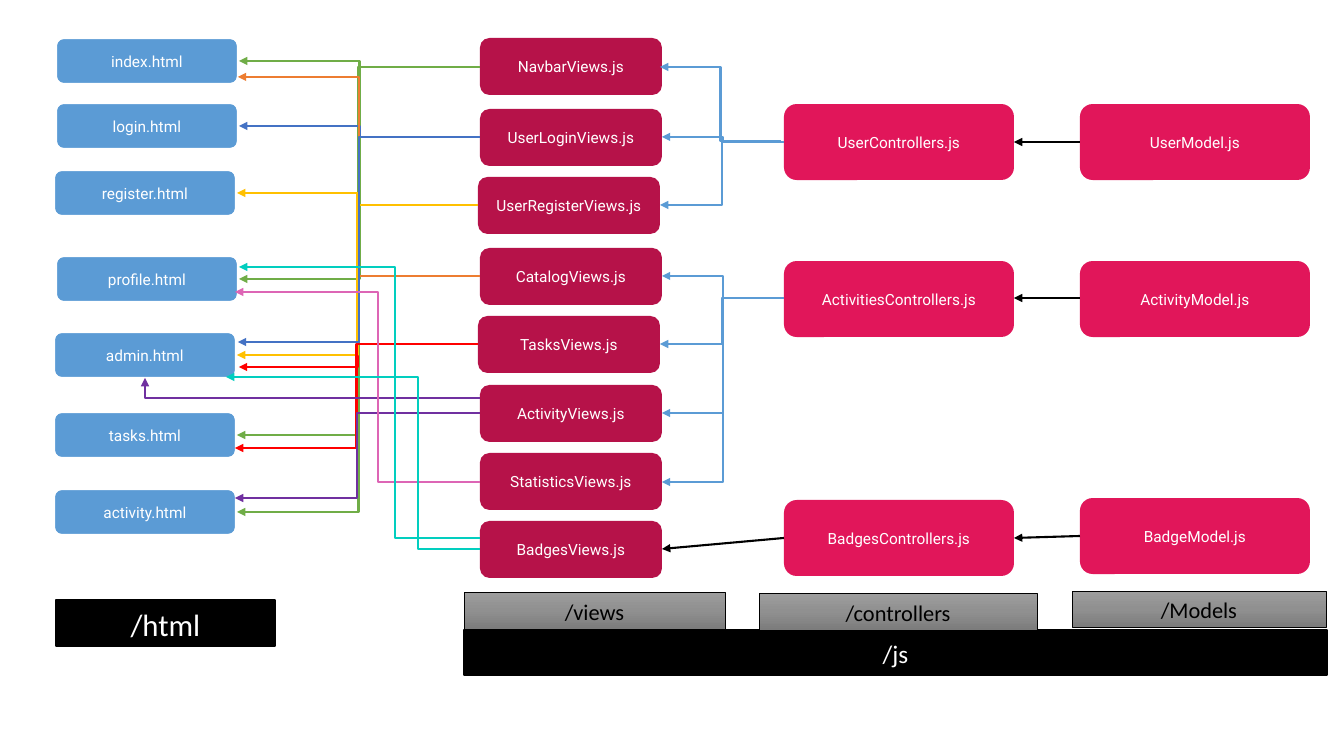
from lxml import etree
from pptx import Presentation
from pptx.dml.color import RGBColor
from pptx.enum.shapes import MSO_CONNECTOR, MSO_SHAPE
from pptx.enum.text import MSO_ANCHOR, PP_ALIGN
from pptx.oxml.ns import qn
from pptx.util import Pt

PX = 914400 / 100.8  # EMU in one pixel
COLORS = {
    "white": "FFFFFF", "black": "000000",
    "page": "5B9BD5", "view": "B61249", "core": "E1165A",
    "gray_top": "9D9D9D", "gray_mid": "909090", "gray_end": "7C7C7C",
    "green": "70AD47", "blue": "4472C4", "yellow": "FFC000",
    "orange": "ED7D31", "red": "FF0000", "purple": "7030A0",
    "pink": "DD65B5", "teal": "02CEBF",
}

prs = Presentation()
prs.slide_width, prs.slide_height = round(1344 * PX), round(756 * PX)
s = prs.slides.add_slide(prs.slide_layouts[6])


def add_box(kind, box, text, size, font, color, fill=None, line=None, width=1):
    sp = s.shapes.add_shape(kind, *(round(v * PX) for v in box))
    sp.shadow.inherit = False
    if fill:
        sp.fill.solid()
        sp.fill.fore_color.rgb = RGBColor.from_string(COLORS[fill])
    if line:
        sp.line.color.rgb = RGBColor.from_string(COLORS[line])
        sp.line.width = Pt(width)
    else:
        sp.line.fill.background()
    tf = sp.text_frame
    tf.word_wrap = True
    tf.vertical_anchor = MSO_ANCHOR.MIDDLE
    p = tf.paragraphs[0]
    p.text = text
    p.alignment = PP_ALIGN.CENTER
    p.font.size, p.font.name = Pt(size), font
    p.font.color.rgb = RGBColor.from_string(COLORS[color])
    return sp


def add_arrow(kind, color, ends):
    cn = s.shapes.add_connector(kind, *(round(v * PX) for v in ends))
    cn.line.color.rgb = RGBColor.from_string(COLORS[color])
    cn.line.width = Pt(1.5)
    etree.SubElement(cn.line._get_or_add_ln(), qn("a:tailEnd"), type="triangle")
    etree.SubElement(cn._element.spPr, qn("a:effectLst"))
    return cn


# Folder labels
labels = [
    ("/js", (464, 630, 863, 45), 18),
    ("/html", (56, 600, 219, 46), 22),
    ("/views", (464, 592, 261, 37), 16),
    ("/controllers", (759, 593, 278, 37), 16),
    ("/Models", (1072, 591, 254, 36), 16),
]
for text, box, size in labels:
    if size > 16:
        sp = add_box(MSO_SHAPE.RECTANGLE, box, text, size, "Calibri", "white", "black", "black")
    else:
        sp = add_box(MSO_SHAPE.RECTANGLE, box, text, size, "Calibri", "black", None, "black", 0.5)
        sp.fill.gradient()
        sp.fill.gradient_angle = 270
        gs_lst = sp._element.spPr.find(qn("a:gradFill")).find(qn("a:gsLst"))
        for stop in list(gs_lst):
            gs_lst.remove(stop)
        for pos, name in ((0, "gray_top"), (50000, "gray_mid"), (100000, "gray_end")):
            stop = etree.SubElement(gs_lst, qn("a:gs"), pos=str(pos))
            etree.SubElement(stop, qn("a:srgbClr"), val=COLORS[name])
    p = sp.text_frame.paragraphs[0]
    p.line_spacing, p.space_after = 1.07, Pt(8)

# File boxes: fill, line, width, height, then (text, left, top)
columns = [
    ("page", "white", 182, 46, [
        ("index.html", 56, 38), ("login.html", 56, 103), ("register.html", 54, 170),
        ("profile.html", 56, 256), ("admin.html", 54, 332), ("tasks.html", 54, 412),
        ("activity.html", 54, 489)]),
    ("view", None, 182, 57, [
        ("NavbarViews.js", 480, 38), ("UserLoginViews.js", 480, 109),
        ("UserRegisterViews.js", 478, 177), ("CatalogViews.js", 480, 248),
        ("TasksViews.js", 478, 316), ("ActivityViews.js", 480, 385),
        ("StatisticsViews.js", 480, 453), ("BadgesViews.js", 480, 521)]),
    ("core", None, 230, 76, [
        ("UserControllers.js", 784, 104), ("ActivitiesControllers.js", 784, 261),
        ("BadgesControllers.js", 784, 500), ("UserModel.js", 1080, 104),
        ("ActivityModel.js", 1080, 261), ("BadgeModel.js", 1080, 498)]),
]
for fill, line, w, h, files in columns:
    for text, x, y in files:
        sp = add_box(MSO_SHAPE.ROUNDED_RECTANGLE, (x, y, w, h), text, 11, "Roboto",
                     "white", fill, line, 1.5)
        tf = sp.text_frame
        tf.margin_left = tf.margin_right = tf.margin_top = tf.margin_bottom = round(10 * PX)

# Straight arrows: models to controllers, badges controller to its view
for ends in ((1080, 142, 1014, 142), (1080, 536, 1014, 538),
             (1080, 298, 1014, 298), (784, 538, 662, 549)):
    add_arrow(MSO_CONNECTOR.STRAIGHT, "black", ends)

# Elbow arrows turning halfway: controllers to views, views to pages
elbows = [
    ("page", 781, 141, 660, 67), ("page", 784, 142, 662, 137),
    ("green", 480, 67, 239, 61),
    ("page", 784, 142, 660, 205), ("page", 784, 298, 662, 276),
    ("page", 784, 298, 660, 344), ("page", 784, 298, 662, 413),
    ("page", 784, 298, 662, 482),
    ("green", 480, 67, 237, 512), ("green", 480, 67, 239, 279),
    ("green", 480, 67, 237, 435), ("yellow", 478, 205, 237, 193),
    ("blue", 480, 137, 239, 126), ("orange", 480, 276, 238, 77),
    ("red", 478, 344, 239, 367), ("yellow", 478, 205, 237, 355),
    ("blue", 480, 137, 238, 342), ("red", 478, 344, 235, 448),
    ("purple", 480, 413, 235, 498),
]
for color, *ends in elbows:
    add_arrow(MSO_CONNECTOR.ELBOW, color, ends)

# One-corner arrow: ActivityViews.js up to admin.html
cn = add_arrow(MSO_CONNECTOR.ELBOW, "purple", (480, 398, 145, 378))
cn._element.spPr.find(qn("a:prstGeom")).set("prst", "bentConnector2")

# Elbow arrows with their own turning point
for color, turn, *ends in (("pink", 378, 480, 482, 235, 292),
                           ("teal", 418, 480, 549, 226, 377),
                           ("teal", 395, 480, 538, 239, 267)):
    cn = add_arrow(MSO_CONNECTOR.ELBOW, color, ends)
    share = round((ends[0] - turn) / (ends[0] - ends[2]) * 100000)
    geom = cn._element.spPr.find(qn("a:prstGeom"))
    av = geom.find(qn("a:avLst"))
    if av is None:
        av = etree.SubElement(geom, qn("a:avLst"))
    etree.SubElement(av, qn("a:gd"), name="adj1", fmla=f"val {share}")

prs.save("out.pptx")
